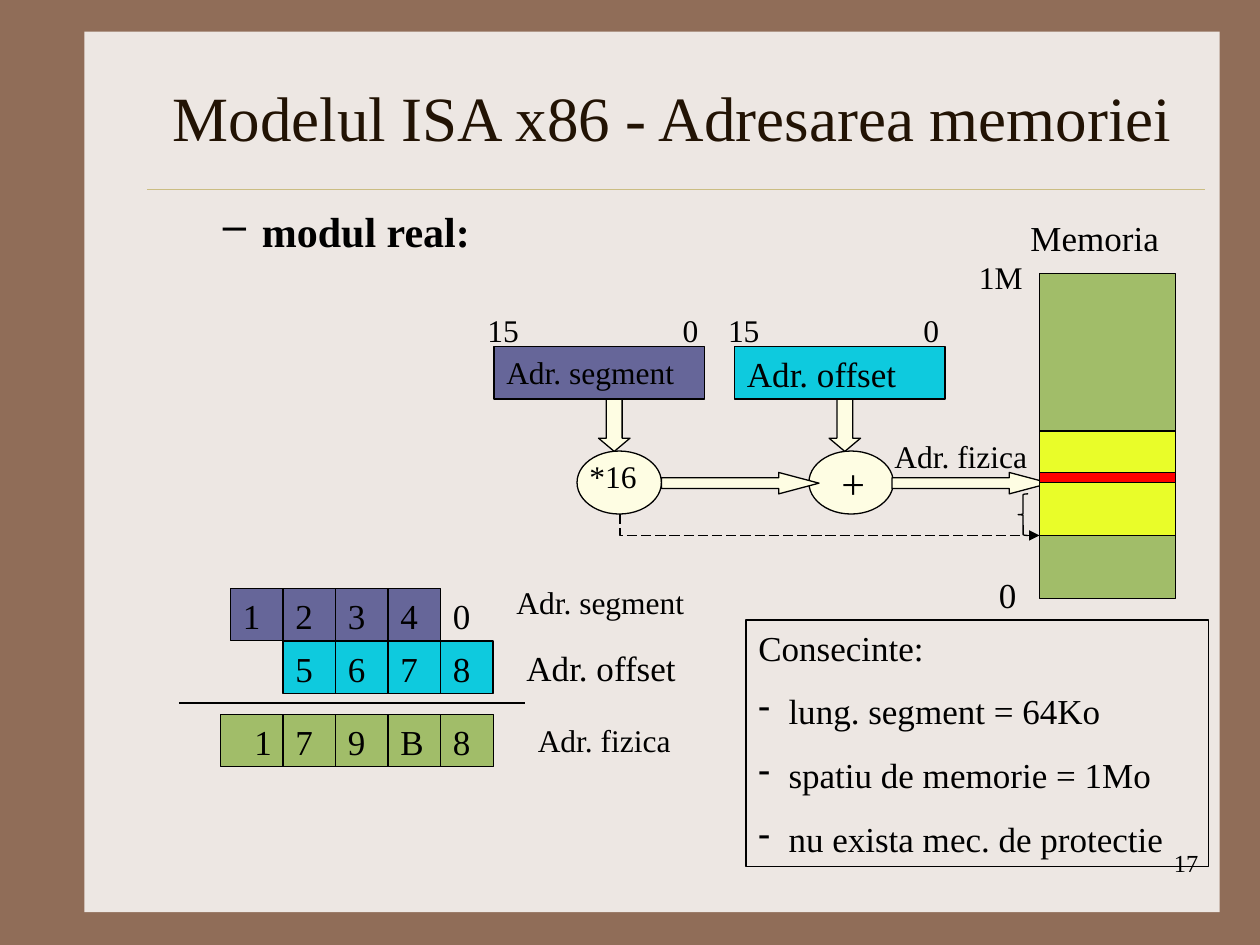
import pptx
import pptx.dml.color
import pptx.enum.dml
import pptx.enum.shapes
import pptx.enum.text
import pptx.oxml
import pptx.oxml.ns
import pptx.util
from pptx.util import Inches

COLORS = {
    "frame": "906D58", "paper": "EDE7E3", "rule": "CBBD83", "title": "221304",
    "ink": "000000", "memory": "A1BD69", "cream": "FEFDE3", "segment": "666699",
    "offset": "0ECADE", "active": "E9FD29", "target": "FF0000",
}
SHAPES = pptx.enum.shapes.MSO_SHAPE
ALIGN = pptx.enum.text.PP_ALIGN
ANCHOR = pptx.enum.text.MSO_ANCHOR
CELL = 5 / 12


def rgb(name):
    """Return the palette colour of that name."""
    return pptx.dml.color.RGBColor.from_string(COLORS[name])


def apply(target, values):
    """Set each format value on the target."""
    for key, value in values.items():
        setattr(target, key, value)


def outline(line, color="ink", points=0.75):
    """Give a line its colour and width."""
    line.color.rgb = rgb(color)
    line.width = pptx.util.Pt(points)


def write(paragraph, text, size, color="ink", bold=False, **layout):
    """Write one formatted run into a paragraph."""
    apply(paragraph, layout)
    run = paragraph.add_run()
    run.text = text
    apply(run.font, {"name": "Times New Roman", "size": pptx.util.Pt(size), "bold": bold})
    run.font.color.rgb = rgb(color)


def label(slide, text, left, top, width, height=0.4, size=18, anchor=ANCHOR.TOP, **layout):
    """Add a wrapping one-paragraph text box and return its paragraph."""
    frame = slide.shapes.add_textbox(*map(Inches, (left, top, width, height))).text_frame
    apply(frame, {"word_wrap": True, "vertical_anchor": anchor})
    write(frame.paragraphs[0], text, size, **layout)
    return frame.paragraphs[0]


def block(slide, kind, left, top, width, height, fill=None, line="ink"):
    """Add a flat preset shape."""
    shape = slide.shapes.add_shape(kind, *map(Inches, (left, top, width, height)))
    shape.shadow.inherit = False
    if fill:
        shape.fill.solid()
        shape.fill.fore_color.rgb = rgb(fill)
    else:
        shape.fill.background()
    if line:
        outline(shape.line, line)
    else:
        shape.line.fill.background()
    return shape


def rule(slide, x1, y1, x2, y2, color="ink", points=0.75):
    """Add a straight line without a shadow."""
    straight = pptx.enum.shapes.MSO_CONNECTOR.STRAIGHT
    connector = slide.shapes.add_connector(straight, *map(Inches, (x1, y1, x2, y2)))
    outline(connector.line, color, points)
    pptx.oxml.ns.qn("a:effectLst")
    effects = pptx.oxml.parse_xml(f'<a:effectLst {pptx.oxml.ns.nsdecls("a")}/>')
    connector._element.spPr.append(effects)
    return connector


def bullet(paragraph, mark, margin, indent):
    """Give a paragraph a hanging bullet."""
    properties = paragraph._p.get_or_add_pPr()
    properties.set("marL", str(Inches(margin)))
    properties.set("indent", str(Inches(indent)))
    declared = pptx.oxml.ns.nsdecls("a")
    for xml in (f'<a:buClr {declared}><a:srgbClr val="{COLORS["ink"]}"/></a:buClr>',
                f'<a:buChar {declared} char="{mark}"/>'):
        properties.append(pptx.oxml.parse_xml(xml))


def draw_page(slide, left, top, width, height):
    """Draw the paper, heading, topic and page number."""
    slide.background.fill.solid()
    slide.background.fill.fore_color.rgb = rgb("frame")
    block(slide, SHAPES.RECTANGLE, left, top, width, height, "paper", None)
    rule(slide, left + 0.5, top + 1.25, left + 8.89, top + 1.25, "rule", 0.25)
    label(slide, "17", left + 6.86, top + 6.43, 2.08, 0.5, 14, alignment=ALIGN.RIGHT)
    label(slide, "Modelul ISA x86 - Adresarea memoriei", left + 0.5, top + 0.17, 8.33, 1, 36,
          ANCHOR.MIDDLE, color="title", alignment=ALIGN.CENTER)
    topic = label(slide, "modul real:", left + 0.5, top + 1.33, 5, 0.5, 24, bold=True, level=1)
    bullet(topic, "–", 0.81, -0.31)


def draw_register(slide, name, size, fill, left, top, width, height):
    """Draw a 16-bit register with its bit numbers."""
    block(slide, SHAPES.RECTANGLE, left, top, width, height, fill)
    label(slide, name, left, top, width, height, size)
    for bit, shift in (("15", -0.15), ("0", 1.4)):
        label(slide, bit, left + shift, top - 0.33, 0.6)


def draw_address_path(slide, left, top, width, height):
    """Draw how segment and offset form the physical address."""
    node_top = top + 0.83
    for shift in (0.66, 2.5):
        block(slide, SHAPES.OVAL, left + shift, node_top, 0.67, 0.5, "cream")
    for shift in (0.83, 2.66):
        arrow = block(slide, SHAPES.DOWN_ARROW, left + shift, top + CELL, 0.25, CELL, "cream")
        arrow.adjustments[1] = 0.42
    for shift in (1.33, 3.16):
        arrow = block(slide, SHAPES.RIGHT_ARROW, left + shift, top + 1, 1.25, 0.17, "cream")
        arrow.adjustments[1] = 1.88
    label(slide, "*16", left + 0.66, node_top, 0.6)
    label(slide, "+", left + 2.66, node_top, 0.42, 0.5, 24)
    draw_register(slide, "Adr. segment", 18, "segment", left, top, 1.67, CELL)
    draw_register(slide, "Adr. offset", 20, "offset", left + 1.91, top, 1.67, CELL)
    label(slide, "Adr. fizica", left + 3.08, top + 0.67, 1.33)

    builder = slide.shapes.build_freeform(Inches(left + 1), Inches(top + 1.33))
    bends = [(left + 1, top + height), (left + width, top + height)]
    builder.add_line_segments([tuple(map(Inches, point)) for point in bends], close=False)
    base_path = builder.convert_to_shape()
    base_path.shadow.inherit = False
    base_path.fill.background()
    outline(base_path.line)
    base_path.line.dash_style = pptx.enum.dml.MSO_LINE.LONG_DASH
    base_path.line._get_or_add_ln().append(pptx.oxml.parse_xml(
        f'<a:tailEnd {pptx.oxml.ns.nsdecls("a")} type="triangle"/>'))


def draw_memory(slide, left, top, width, height):
    """Draw the memory column with the active segment."""
    for shift, depth, fill in ((0, height, "memory"), (1.25, 0.83, "active"), (1.58, 0.08, "target")):
        block(slide, SHAPES.RECTANGLE, left, top + shift, width, depth, fill)
    block(slide, SHAPES.LEFT_BRACE, left - 0.17, top + 1.75, 0.08, 0.33)
    label(slide, "Memoria", left - 0.17, top - 0.5, 1.33, size=20)
    label(slide, "1M", left - 0.58, top - 0.17, 0.58)
    label(slide, "0", left - 0.42, top + 2.33, 0.42, size=20)


def draw_digits(slide, digits, fill, left, top, width, dividers):
    """Draw a row of digit cells; digits are (text, left) pairs."""
    row = block(slide, SHAPES.RECTANGLE, left, top, width, CELL, fill)
    for x in dividers:
        divider = rule(slide, x, top, x, top + CELL)
        if abs(x - left - width / 2) < 0.01:
            divider.begin_connect(row, 0)
            divider.end_connect(row, 2)
    for digit, x in digits:
        label(slide, digit, x, top, CELL, size=20)


def draw_sum(slide, left, top, width):
    """Draw the worked address addition."""
    columns = [left + 0.41 + CELL * index for index in range(5)]
    bottom = top + 1
    draw_digits(slide, zip("12340", columns), "segment", columns[0], top, 4 * CELL, columns[1:4])
    draw_digits(slide, zip("5678", columns[1:]), "offset", columns[1], top + CELL, 4 * CELL,
                columns[2:])
    draw_digits(slide, zip("179B8", [left + 0.5] + columns[1:]), "memory", left + 0.33, bottom,
                2.17, columns[1:])
    rule(slide, left, top + 0.91, left + width, top + 0.91)
    for name, shift, y, size in (("Adr. segment", 2.58, top - 0.09, 18),
                                 ("Adr. offset", 2.66, top + 0.41, 20),
                                 ("Adr. fizica", 2.75, bottom, 18)):
        label(slide, name, left + shift, y, 1.67, size=size)


def draw_consequences(slide, left, top, width, height):
    """Draw the framed list of consequences."""
    frame = block(slide, SHAPES.RECTANGLE, left, top, width, height).text_frame
    apply(frame, {"word_wrap": True, "vertical_anchor": ANCHOR.TOP})
    write(frame.paragraphs[0], "Consecinte:", 20, alignment=ALIGN.LEFT)
    for fact in ("lung. segment = 64Ko", "spatiu de memorie = 1Mo", "nu exista mec. de protectie"):
        paragraph = frame.add_paragraph()
        bullet(paragraph, "-", 0.24, -0.24)
        write(paragraph, fact, 20, alignment=ALIGN.LEFT, space_before=pptx.util.Pt(12.5))


def main():
    """Build and save the slide."""
    deck = pptx.Presentation()
    apply(deck, {"slide_width": Inches(10), "slide_height": Inches(7.5)})
    slide = deck.slides.add_slide(deck.slide_layouts[6])
    draw_page(slide, 0.67, 0.25, 9.01, 6.99)
    draw_address_path(slide, 3.92, 2.75, 4.33, 1.5)
    draw_memory(slide, 8.25, 2.17, 1.08, 2.58)
    draw_sum(slide, 1.42, 4.67, 2.75)
    draw_consequences(slide, 5.92, 4.92, 3.67, 1.96)
    deck.save("out.pptx")


if __name__ == "__main__":
    main()
